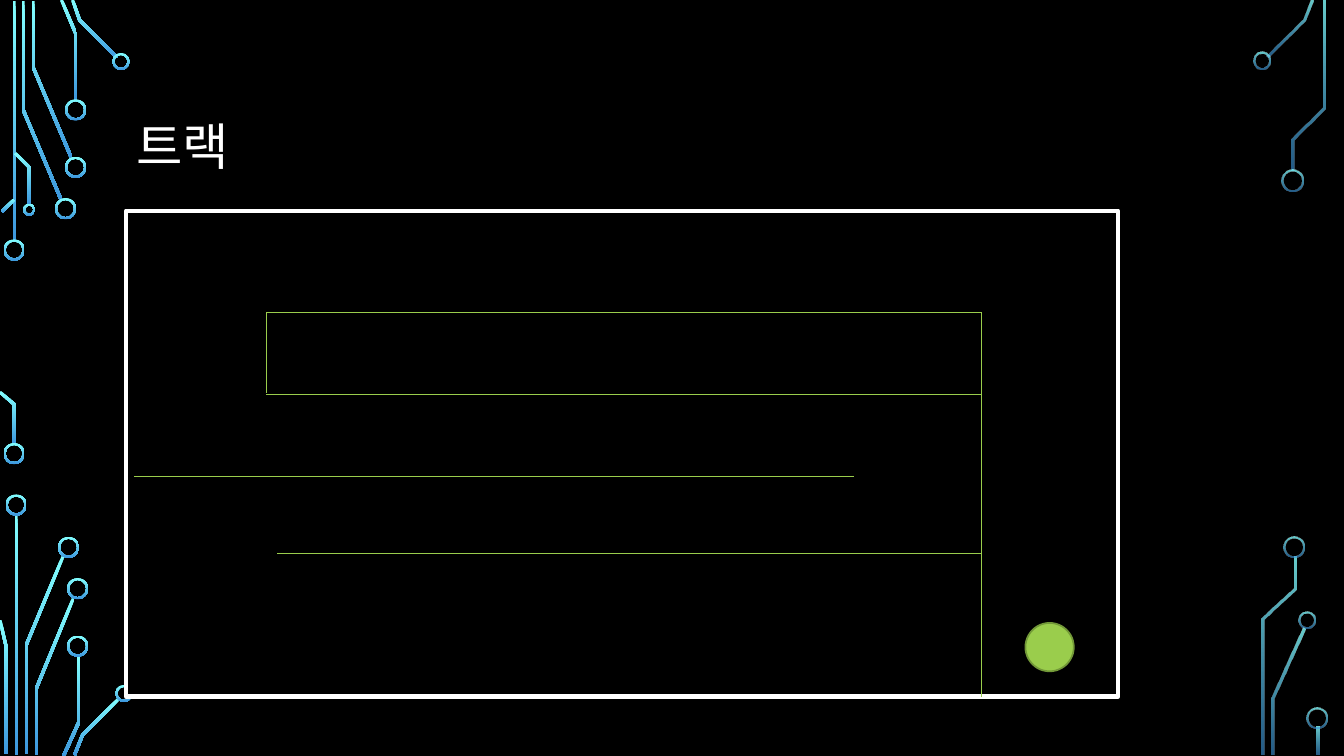
"""Build the track slide: a circuit-board border, a title and a walled track with a ball."""
from dataclasses import dataclass
from math import hypot

from lxml.etree import SubElement
from pptx import Presentation
from pptx.dml.color import RGBColor as Rgb
from pptx.enum.shapes import MSO_CONNECTOR as Connector, MSO_SHAPE as Shape
from pptx.enum.text import MSO_ANCHOR as Anchor, PP_ALIGN as Align
from pptx.oxml.ns import qn
from pptx.util import Cm, Pt


@dataclass(frozen=True)
class Theme:
    font: str = "Calibri"
    title_size: float = 36
    background: str = "000000"
    light: str = "FFFFFF"
    wall: str = "9ACD4C"
    ball_edge: str = "729838"
    glow: tuple = ("82FFFF", "3D97DE")
    frame_width: float = 3
    wall_width: float = 0.75
    ball_width: float = 1.25


THEME = Theme()
SLIDE_SIZE = (13.33, 7.5)
TITLE = "트랙"
TITLE_BOX = (1.25, 0.67, 10.83, 1.62)
FRAME = (1.25, 2.09, 9.84, 4.82)
BALL = (10.17, 6.18, 0.48, 0.48)
LEFT_WALL, RIGHT_WALL = 2.64, 9.73
WALLS = [
    ((RIGHT_WALL, 3.1), (RIGHT_WALL, 6.91)),
    ((RIGHT_WALL, 3.1), (LEFT_WALL, 3.1)),
    ((LEFT_WALL, 3.1), (LEFT_WALL, 3.9)),
    ((LEFT_WALL, 3.91), (RIGHT_WALL, 3.91)),
    ((1.33, 4.73), (8.47, 4.73)),
    ((2.75, 5.49), (RIGHT_WALL, 5.49)),
]

TRACE_WIDTH, RING_WIDTH = 0.03, 0.02
LEFT_TRACES = [
    [(0.14, 0.01), (0.14, 2.4)],
    [(0.23, 0.01), (0.23, 1.09), (0.61, 1.99)],
    [(0.33, 0.01), (0.33, 0.67), (0.71, 1.57)],
    [(0.61, 0), (0.75, 0.33), (0.75, 1)],
    [(0.72, 0), (0.79, 0.2), (1.16, 0.57)],
    [(0.02, 2.1), (0.14, 1.98)],
    [(0, 3.89), (0.14, 4.01), (0.14, 4.41)],
    [(0.15, 1.52), (0.29, 1.66), (0.29, 2.03)],
    [(0.16, 5.1), (0.16, 7.49)],
    [(0.63, 5.51), (0.26, 6.4), (0.26, 7.48)],
    [(0, 6.15), (0.06, 6.41), (0.06, 7.48)],
    [(0.73, 5.93), (0.36, 6.83), (0.36, 7.49)],
    [(0.78, 6.5), (0.78, 7.17), (0.63, 7.5)],
    [(1.18, 6.93), (0.82, 7.29), (0.74, 7.49)],
]
LEFT_RINGS = [
    (0.14, 2.48, 0.21), (0.14, 4.5, 0.21), (0.65, 2.07, 0.21), (0.75, 1.66, 0.21),
    (0.75, 1.09, 0.21), (1.2, 0.61, 0.17), (0.29, 2.08, 0.12), (0.16, 5.01, 0.21),
    (0.68, 5.43, 0.21), (0.77, 5.84, 0.21), (0.77, 6.41, 0.21), (1.23, 6.88, 0.17),
]
RIGHT_TRACES = [
    [(13.01, 0), (12.93, 0.2), (12.57, 0.56)],
    [(12.93, 6.23), (12.63, 6.93), (12.63, 7.49)],
    [(13.13, 0.01), (13.13, 1.07), (12.82, 1.38), (12.82, 1.69)],
    [(12.84, 5.52), (12.84, 5.84), (12.53, 6.14), (12.53, 7.49)],
    [(13.07, 7.21), (13.07, 7.49)],
]
RIGHT_RINGS = [
    (12.52, 0.6, 0.17), (12.82, 1.79, 0.21), (12.96, 6.15, 0.17),
    (12.83, 5.43, 0.21), (13.06, 7.12, 0.21),
]
CIRCUITS = [(LEFT_TRACES, LEFT_RINGS, (100, 100)), (RIGHT_TRACES, RIGHT_RINGS, (80, 60))]


def lengths(inches):
    return [Cm(2.54 * value) for value in inches]


def color(code):
    return Rgb.from_string(code)


def write(frame, text, *, size, ink, font=THEME.font, align=Align.LEFT, spacing=0.9):
    frame.text = text
    frame.word_wrap = True
    frame.vertical_anchor = Anchor.MIDDLE
    paragraph = frame.paragraphs[0]
    paragraph.alignment, paragraph.line_spacing = align, spacing
    run_font = paragraph.runs[0].font
    run_font.name, run_font.size = font, Pt(size)
    run_font.color.rgb = color(ink)


def add_block(slide, kind, box, fill, edge, width):
    block = slide.shapes.add_shape(kind, *lengths(box))
    block.shadow.inherit = False
    block.fill.solid()
    block.fill.fore_color.rgb = color(fill)
    block.line.color.rgb = color(edge)
    block.line.width = Pt(width)


def add_wall(slide, start, end):
    wall = slide.shapes.add_connector(Connector.STRAIGHT, *lengths(start + end))
    wall.line.color.rgb = color(THEME.wall)
    wall.line.width = Pt(THEME.wall_width)
    SubElement(wall._element.spPr, qn("a:effectLst"))


def make_glow(part, opacities):
    part.shadow.inherit = False
    part.line.fill.background()
    part.fill.gradient()
    part.fill.gradient_angle = 270
    for stop, code, position in zip(part.fill.gradient_stops, THEME.glow, (0, 1)):
        stop.color.rgb, stop.position = color(code), position
    tints = part._element.spPr.findall(".//" + qn("a:srgbClr"))
    for tint, opacity in zip(tints, opacities):
        if opacity < 100:
            SubElement(tint, qn("a:alpha")).set("val", str(opacity * 1000))


def trace_outline(points):
    """Widen a centre line into a strip with mitred corners."""
    normals = []
    for (x1, y1), (x2, y2) in zip(points, points[1:]):
        run = hypot(x2 - x1, y2 - y1)
        normals.append(((y1 - y2) / run, (x2 - x1) / run))
    near, far = [], []
    joints = zip(points, normals[:1] + normals, normals + normals[-1:])
    for (x, y), (ax, ay), (bx, by) in joints:
        reach = TRACE_WIDTH / 2 / (1 + ax * bx + ay * by)
        dx, dy = (ax + bx) * reach, (ay + by) * reach
        near.append((x + dx, y + dy))
        far.append((x - dx, y - dy))
    return near + far[::-1]


def add_trace(slide, points, opacities):
    start, *corners = [lengths(corner) for corner in trace_outline(points)]
    builder = slide.shapes.build_freeform(*start)
    builder.add_line_segments(corners, close=True)
    make_glow(builder.convert_to_shape(), opacities)


def add_ring(slide, x, y, diameter, opacities):
    box = (x - diameter / 2, y - diameter / 2, diameter, diameter)
    ring = slide.shapes.add_shape(Shape.DONUT, *lengths(box))
    ring.adjustments[0] = RING_WIDTH / diameter
    make_glow(ring, opacities)


def main():
    deck = Presentation()
    deck.slide_width, deck.slide_height = lengths(SLIDE_SIZE)
    slide = deck.slides.add_slide(deck.slide_layouts[5])
    slide.background.fill.solid()
    slide.background.fill.fore_color.rgb = color(THEME.background)

    title = slide.shapes.title
    title.left, title.top, title.width, title.height = lengths(TITLE_BOX)
    write(title.text_frame, TITLE, size=THEME.title_size, ink=THEME.light)

    for traces, rings, opacities in CIRCUITS:
        for points in traces:
            add_trace(slide, points, opacities)
        for ring in rings:
            add_ring(slide, *ring, opacities)

    add_block(slide, Shape.RECTANGLE, FRAME, THEME.background, THEME.light, THEME.frame_width)
    for start, end in WALLS:
        add_wall(slide, start, end)
    add_block(slide, Shape.OVAL, BALL, THEME.wall, THEME.ball_edge, THEME.ball_width)
    deck.save("out.pptx")


if __name__ == "__main__":
    main()
